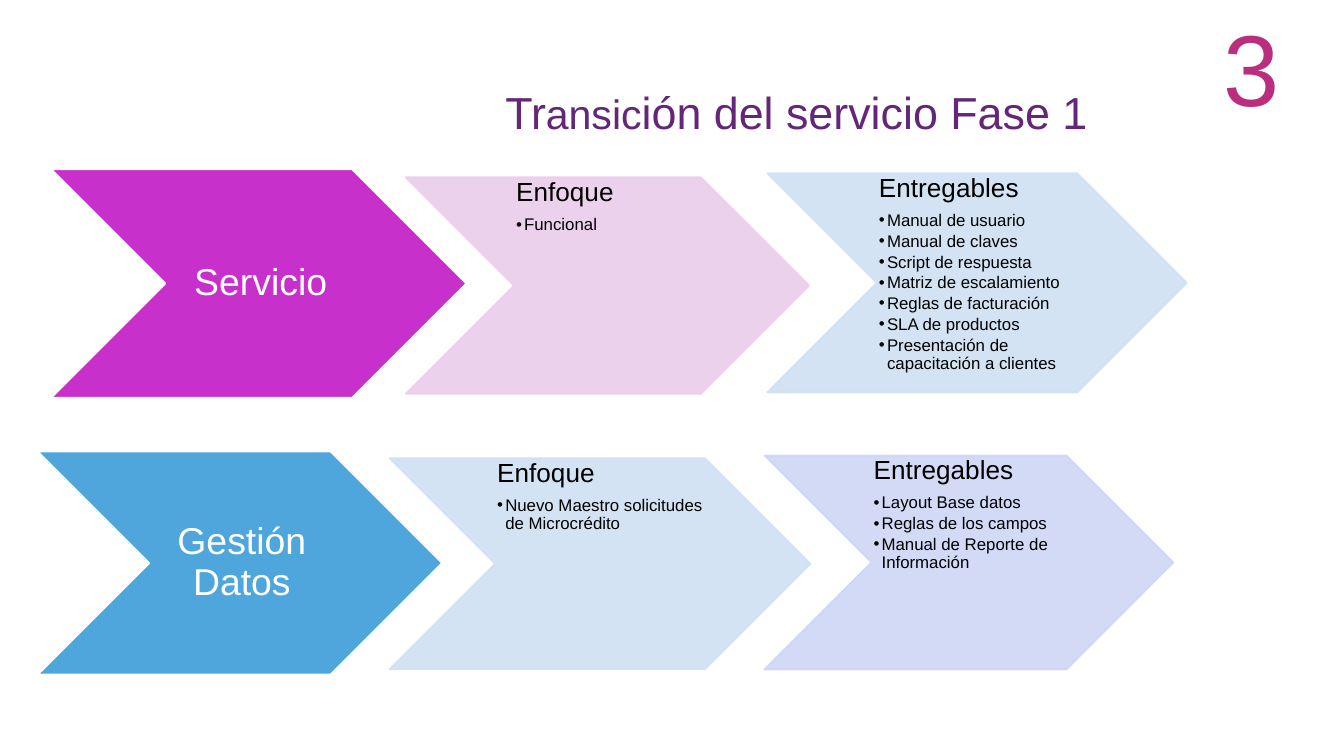
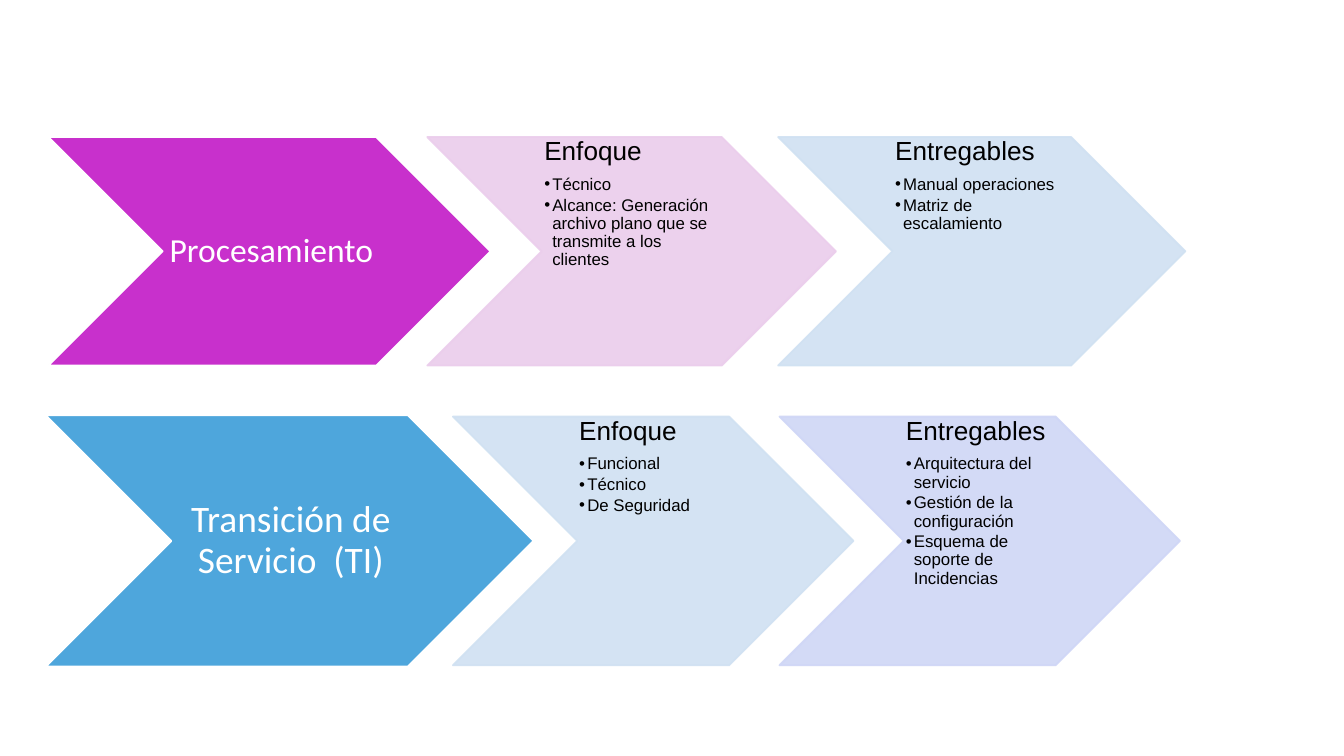
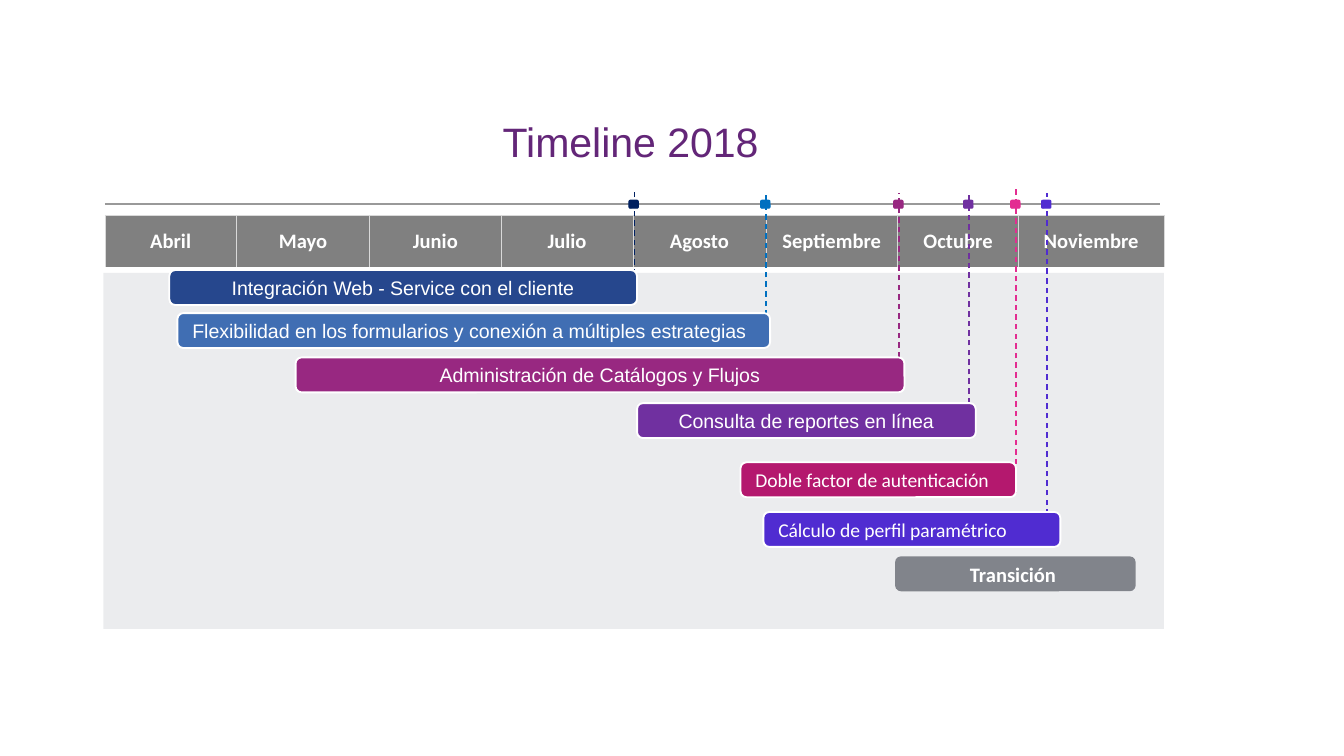
"""Build three slides on a service transition: two chevron diagrams and a 2018 timeline."""
import lxml.etree
import pptx
import pptx.dml.color
import pptx.enum.dml
import pptx.enum.shapes
import pptx.enum.text
import pptx.oxml.ns
import pptx.util

PX = 9144
C = {
    "title": "632678", "number": "BA2F7D", "white": "FFFFFF", "black": "000000",
    "magenta": "C830CC", "sky": "4EA6DC", "pink": "EBCDEC", "pale": "D0E1F2", "lilac": "CFD6F6",
    "panel": "BDC3C7", "header": "808080", "border": "D9D9D9", "axis": "999999",
    "navy": "002060", "blue": "0070C0", "plum": "982881", "purple": "7030A0",
    "rose": "E32D91", "violet": "502CD1", "royal": "26478D", "steel": "406EB3",
    "crimson": "B4186E", "slate": "676A73",
}
RGB = {name: pptx.dml.color.RGBColor.from_string(code) for name, code in C.items()}
SHAPE = pptx.enum.shapes.MSO_SHAPE
ALIGN = pptx.enum.text.PP_ALIGN
ANCHOR = pptx.enum.text.MSO_ANCHOR
Pt = pptx.util.Pt
qn = pptx.oxml.ns.qn
sub = lxml.etree.SubElement


def add_shape(sl, kind, box, fill, line=None, width=1, alpha=100):
    sp = sl.shapes.add_shape(kind, *[v * PX for v in box])
    sp.shadow.inherit = False
    sp.fill.solid()
    sp.fill.fore_color.rgb = RGB[fill]
    if line:
        sp.line.color.rgb = RGB[line]
        sp.line.width = Pt(width)
    else:
        sp.line.fill.background()
    if alpha < 100:
        for clr in list(sp._element.spPr.iter(qn("a:srgbClr"))):
            sub(clr, qn("a:alpha"), val=str(alpha * 1000))
    return sp


def add_run(p, text, size, color, font="Arial", bold=False):
    r = p.add_run()
    r.text = text
    r.font.size = Pt(size)
    r.font.name = font
    r.font.bold = bold
    r.font.color.rgb = RGB[color]


prs = pptx.Presentation()
prs.slide_width = 1000 * PX
prs.slide_height = prs.slide_width * 9 // 16

titles = [
    ((366, 58, 465, 50), [("Tr", 24), ("ansic", 22), ("ión del servicio Fase 1", 24)]),
    (None, []),
    ((364, 82, 249, 47), [("Timeline 2018", 22)]),
]
slides = []
for box, runs in titles:
    sl = prs.slides.add_slide(prs.slide_layouts[5 if box else 6])
    slides.append(sl)
    if box:
        sp = sl.shapes.title
        sp.left, sp.top, sp.width, sp.height = [v * PX for v in box]
        tf = sp.text_frame
        tf.auto_size = pptx.enum.text.MSO_AUTO_SIZE.NONE
        tf.vertical_anchor = ANCHOR.TOP
        p = tf.paragraphs[0]
        p.alignment = ALIGN.LEFT
        for text, size in runs:
            add_run(p, text, size, "title")

heads = [
    (0, (28, 336, 301, 166), "sky", "Gestión Datos", 20, "Arial"),
    (0, (38, 126, 309, 170), "magenta", "Servicio", 20, "Arial"),
    (1, (36, 102, 329, 170), "magenta", "Procesamiento", 18, "Calibri"),
    (1, (34, 309, 363, 187), "sky", "Transición de Servicio  (TI)", 20, "Calibri"),
]
details = [
    (0, (290, 341, 313, 157), "pale", "Enfoque", ["Nuevo Maestro solicitudes de Microcrédito"]),
    (0, (569, 339, 304, 159), "lilac", "Entregables",
     ["Layout Base datos", "Reglas de los campos", "Manual de Reporte de Información"]),
    (0, (302, 132, 300, 161), "pink", "Enfoque", ["Funcional"]),
    (0, (571, 129, 312, 163), "pale", "Entregables",
     ["Manual de usuario", "Manual de claves", "Script de respuesta", "Matriz de escalamiento",
      "Reglas de facturación", "SLA de productos", "Presentación de capacitación a clientes"]),
    (1, (318, 102, 304, 170), "pink", "Enfoque",
     ["Técnico", "Alcance: Generación archivo plano que se transmite a los clientes"]),
    (1, (579, 102, 303, 170), "pale", "Entregables", ["Manual operaciones", "Matriz de escalamiento"]),
    (1, (337, 310, 298, 185), "pale", "Enfoque", ["Funcional", "Técnico", "De Seguridad"]),
    (1, (580, 310, 298, 185), "lilac", "Entregables",
     ["Arquitectura del servicio", "Gestión de la configuración", "Esquema de soporte de Incidencias"]),
]
chevrons = [(n, box, fill, text, size, font, []) for n, box, fill, text, size, font in heads]
chevrons += [(n, box, fill, text, 14, "Arial", items) for n, box, fill, text, items in details]
for n, box, fill, text, size, font, items in chevrons:
    sl = slides[n]
    add_shape(sl, SHAPE.CHEVRON, box, fill, fill if items else "white", alpha=90 if items else 100)
    x, y, w, h = box
    tf = sl.shapes.add_textbox((x + h // 2) * PX, y * PX, (w - h) * PX, h * PX).text_frame
    tf.word_wrap = True
    tf.margin_left, tf.margin_right = (2 if items else 3) * PX, 0
    tf.margin_top = tf.margin_bottom = PX
    tf.vertical_anchor = ANCHOR.TOP if items else ANCHOR.MIDDLE
    p = tf.paragraphs[0]
    p.alignment = ALIGN.LEFT if items else ALIGN.CENTER
    p.line_spacing = 0.9
    p.space_after = Pt(size * 0.35)
    add_run(p, text, size, "black" if items else "white", font)
    for item in items:
        p = tf.add_paragraph()
        p.level = 1
        pPr = p._p.get_or_add_pPr()
        pPr.set("marL", str(6 * PX))
        pPr.set("indent", str(-6 * PX))
        sub(pPr, qn("a:buFont"), typeface="Arial")
        sub(pPr, qn("a:buChar"), char="•")
        p.line_spacing = 0.9
        p.space_after = Pt(1.35)
        add_run(p, item, 9, "black")

tf = slides[0].shapes.add_textbox(896 * PX, -PX, 71 * PX, 101 * PX).text_frame
tf.word_wrap = True
p = tf.paragraphs[0]
p.alignment = ALIGN.CENTER
add_run(p, "3", 54, "number")

sl = slides[2]
add_shape(sl, SHAPE.RECTANGLE, (77, 203, 789, 265), "panel", alpha=30)

months = ["Abril", "Mayo", "Junio", "Julio", "Agosto", "Septiembre", "Octubre", "Noviembre"]
col_widths = [98, 99, 98, 98, 99, 98, 90, 108]
row_heights = [39, 34, 34, 34, 42, 26, 24]
tbl = sl.shapes.add_table(len(row_heights), len(months), 78 * PX, 160 * PX,
                          sum(col_widths) * PX, sum(row_heights) * PX).table
tbl.horz_banding = False
tbl._tbl.tblPr.find(qn("a:tableStyleId")).text = "{2D5ABB26-0587-4C30-8999-92F81FD0307C}"
for col, width in zip(tbl.columns, col_widths):
    col.width = width * PX
for row, height in zip(tbl.rows, row_heights):
    row.height = height * PX
    for cell in row.cells:
        cell.margin_left = cell.margin_right = 0
        cell.margin_top = cell.margin_bottom = 4 * PX
        cell.fill.background()
for cell, month in zip(tbl.rows[0].cells, months):
    cell.vertical_anchor = ANCHOR.MIDDLE
    cell.fill.solid()
    cell.fill.fore_color.rgb = RGB["header"]
    p = cell.text_frame.paragraphs[0]
    p.alignment = ALIGN.CENTER
    add_run(p, month, 11, "white", "Calibri", True)
    tcPr = cell._tc.get_or_add_tcPr()
    for i, side in enumerate(["a:lnL", "a:lnR", "a:lnT"]):
        ln = lxml.etree.Element(qn(side), w=str(Pt(0.25)))
        sub(sub(ln, qn("a:solidFill")), qn("a:srgbClr"), val=C["border"])
        tcPr.insert(i, ln)
for row in list(tbl.rows)[1:]:
    for cell in row.cells:
        sub(cell.text_frame.paragraphs[0]._p, qn("a:endParaRPr"), sz="800")

milestones = [
    (472, 142, 204, "navy"), (570, 144, 235, "blue"), (669, 144, 266, "plum"),
    (721, 144, 300, "purple"), (756, 140, 367, "rose"), (779, 144, 383, "violet"),
]
lines = [(78, 152, 863, 152, "axis", 1, False)]
lines += [(x, bottom, x, top, color, 0.75, True) for x, top, bottom, color in milestones]
for x1, y1, x2, y2, color, width, dashed in lines:
    cn = sl.shapes.add_connector(pptx.enum.shapes.MSO_CONNECTOR.STRAIGHT,
                                 x1 * PX, y1 * PX, x2 * PX, y2 * PX)
    cn.line.color.rgb = RGB[color]
    cn.line.width = Pt(width)
    if dashed:
        cn.line.dash_style = pptx.enum.dml.MSO_LINE.DASH
    sub(cn._element.spPr, qn("a:effectLst"))
for x, top, bottom, color in milestones:
    add_shape(sl, SHAPE.ROUNDED_RECTANGLE, (x - 4, 149, 7, 6), color, color, 0.5)

bars = [
    (126, 201, 348, "royal", "Integración Web - Service con el cliente", "Arial", ALIGN.CENTER),
    (132, 233, 441, "steel", "Flexibilidad en los formularios y conexión a múltiples estrategias",
     "Arial", ALIGN.LEFT),
    (220, 266, 453, "plum", "Administración de Catálogos y Flujos", "Arial", ALIGN.CENTER),
    (474, 300, 252, "purple", "Consulta de reportes en línea", "Arial", ALIGN.CENTER),
    (551, 344, 205, "crimson", "Doble factor de autenticación", "Calibri", ALIGN.LEFT),
    (568, 381, 221, "violet", "Cálculo de perfil paramétrico", "Calibri", ALIGN.LEFT),
    (666, 414, 179, "slate", "Transición ", "Calibri", ALIGN.CENTER),
]
for x, y, w, fill, text, font, align in bars:
    closing = fill == "slate"
    sp = add_shape(sl, SHAPE.ROUNDED_RECTANGLE, (x, y, w, 26), fill,
                   None if closing else "white", alpha=80 if closing else 100)
    tf = sp.text_frame
    tf.word_wrap = True
    tf.vertical_anchor = ANCHOR.MIDDLE
    p = tf.paragraphs[0]
    p.alignment = align
    add_run(p, text, 11 if closing else 10.5, "white", font, closing)

prs.save("out.pptx")
